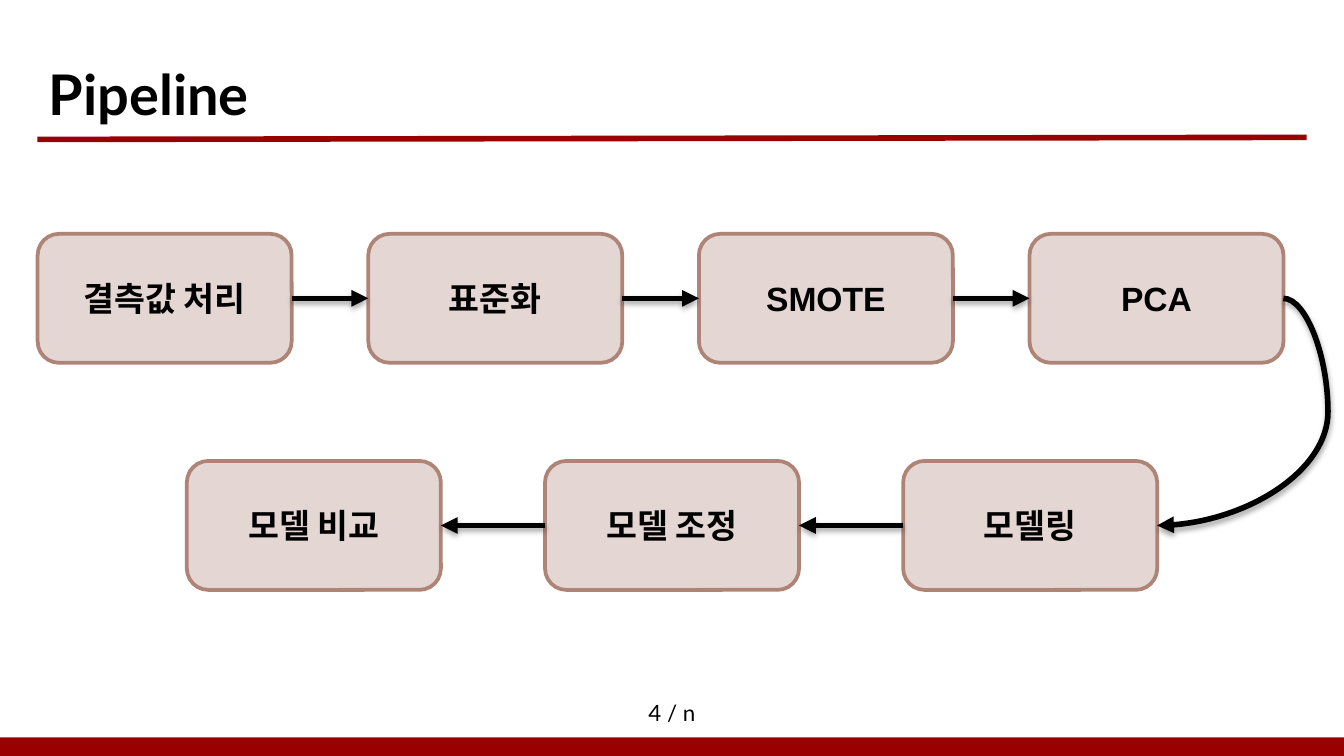
from dataclasses import dataclass

from pptx import Presentation
from pptx.dml.color import RGBColor
from pptx.enum import shapes, text
from pptx.oxml import parse_xml
from pptx.oxml.ns import nsdecls, qn
from pptx.util import Pt


@dataclass(frozen=True)
class Theme:
    accent: str = "990000"
    ink: str = "000000"
    box_fill: str = "E4D6D2"
    box_line: str = "AE8477"
    title_font: str = "Lato"
    body_font: str = "Arial"
    title_size: float = 30
    box_size: float = 18
    page_size: float = 12


@dataclass(frozen=True)
class Row:
    """Steps in reading order; a negative pitch runs right to left."""
    labels: tuple[str, ...]
    left: float
    top: float
    pitch: float


THEME = Theme()
SLIDE_WIDTH, SLIDE_HEIGHT = 720, 405
BOX_WIDTH, BOX_HEIGHT = 136.08, 69.12
BAR_HEIGHT = 10
LINE_WIDTH = 3
TOP, LEFT, BOTTOM, RIGHT = range(4)
ROWS = (
    Row(("결측값 처리", "표준화", "SMOTE", "PCA"), 20.16, 125.28, 177.12),
    Row(("모델링", "모델 조정", "모델 비교"), 483.84, 246.96, -191.88),
)


def write(shape, content: str, *, font: str, size: float, bold: bool = False,
          align=text.PP_ALIGN.CENTER, anchor=text.MSO_ANCHOR.MIDDLE, inset: float | None = None) -> None:
    frame = shape.text_frame
    frame.word_wrap = True
    frame.auto_size = text.MSO_AUTO_SIZE.NONE
    frame.vertical_anchor = anchor
    if inset is not None:
        frame.margin_left = frame.margin_right = frame.margin_top = frame.margin_bottom = Pt(inset)
    paragraph = frame.paragraphs[0]
    paragraph.alignment = align
    run = paragraph.add_run()
    run.text = content
    run.font.name = font
    run.font.size = Pt(size)
    run.font.bold = bold
    run.font.color.rgb = RGBColor.from_string(THEME.ink)


def style_line(connector, color: str) -> None:
    connector.line.width = Pt(LINE_WIDTH)
    connector.line.color.rgb = RGBColor.from_string(color)


def add_effects(connector, content: str = "") -> None:
    connector.element.spPr.append(parse_xml(f"<a:effectLst {nsdecls('a')}>{content}</a:effectLst>"))


def style_arrow(connector) -> None:
    """Give a black line with a triangular end and a soft shadow below."""
    style_line(connector, THEME.ink)
    line = connector.element.spPr.find(qn("a:ln"))
    line.append(parse_xml(f'<a:tailEnd {nsdecls("a")} type="triangle"/>'))
    add_effects(
        connector,
        f'<a:outerShdw blurRad="{Pt(3.1)}" dist="{Pt(1.8)}" dir="5400000" rotWithShape="0">'
        f'<a:srgbClr val="{THEME.ink}"><a:alpha val="35000"/></a:srgbClr></a:outerShdw>',
    )


def add_box(slide, label: str, left: float, top: float):
    box = slide.shapes.add_shape(
        shapes.MSO_SHAPE.ROUNDED_RECTANGLE, Pt(left), Pt(top), Pt(BOX_WIDTH), Pt(BOX_HEIGHT))
    box.shadow.inherit = False
    box.fill.solid()
    box.fill.fore_color.rgb = RGBColor.from_string(THEME.box_fill)
    box.line.color.rgb = RGBColor.from_string(THEME.box_line)
    box.line.width = Pt(2)
    write(box, label, font=THEME.body_font, size=THEME.box_size, bold=True)
    return box


def add_row(slide, row: Row) -> list:
    boxes = [add_box(slide, label, row.left + index * row.pitch, row.top)
             for index, label in enumerate(row.labels)]
    start, end = (RIGHT, LEFT) if row.pitch > 0 else (LEFT, RIGHT)
    for source, target in zip(boxes, boxes[1:]):
        arrow = slide.shapes.add_connector(shapes.MSO_CONNECTOR.STRAIGHT, 0, 0, 0, 0)
        arrow.begin_connect(source, start)
        arrow.end_connect(target, end)
        style_arrow(arrow)
    return boxes


def add_turn(slide, source, target) -> None:
    """Curve from one right side to another, bulging out to the right."""
    curve = slide.shapes.add_connector(
        shapes.MSO_CONNECTOR.CURVE,
        source.left + source.width, source.top + source.height // 2,
        target.left + target.width, target.top + target.height // 2)
    guides = curve.element.spPr.find(qn("a:prstGeom")).get_or_add_avLst()
    guides.append(parse_xml(f'<a:gd {nsdecls("a")} name="adj1" fmla="val -35300"/>'))
    style_arrow(curve)


def add_frame(slide) -> None:
    """Add the title, its rule, the page number and the bottom bar."""
    bar = slide.shapes.add_shape(
        shapes.MSO_SHAPE.RECTANGLE, 0, Pt(SLIDE_HEIGHT - BAR_HEIGHT), Pt(SLIDE_WIDTH), Pt(BAR_HEIGHT))
    bar.shadow.inherit = False
    bar.fill.solid()
    bar.fill.fore_color.rgb = RGBColor.from_string(THEME.accent)
    bar.line.fill.background()

    rule = slide.shapes.add_connector(
        shapes.MSO_CONNECTOR.STRAIGHT, Pt(20), Pt(74.7), Pt(700), Pt(73.6))
    style_line(rule, THEME.accent)
    add_effects(rule)

    title = slide.shapes.title
    title.left, title.top, title.width, title.height = Pt(18.9), Pt(25.2), Pt(653.8), Pt(49.7)
    write(title, "Pipeline", font=THEME.title_font, size=THEME.title_size, bold=True,
          align=text.PP_ALIGN.LEFT, anchor=text.MSO_ANCHOR.BOTTOM, inset=7.2)

    page = slide.shapes.add_textbox(Pt(338.4), Pt(366.5), Pt(43.2), Pt(31))
    write(page, "4 / n", font=THEME.title_font, size=THEME.page_size, inset=7.2)


def main() -> None:
    presentation = Presentation()
    presentation.slide_width, presentation.slide_height = Pt(SLIDE_WIDTH), Pt(SLIDE_HEIGHT)
    slide = presentation.slides.add_slide(presentation.slide_layouts[5])
    add_frame(slide)
    first, second = [add_row(slide, row) for row in ROWS]
    add_turn(slide, first[-1], second[0])
    presentation.save("out.pptx")


if __name__ == "__main__":
    main()
